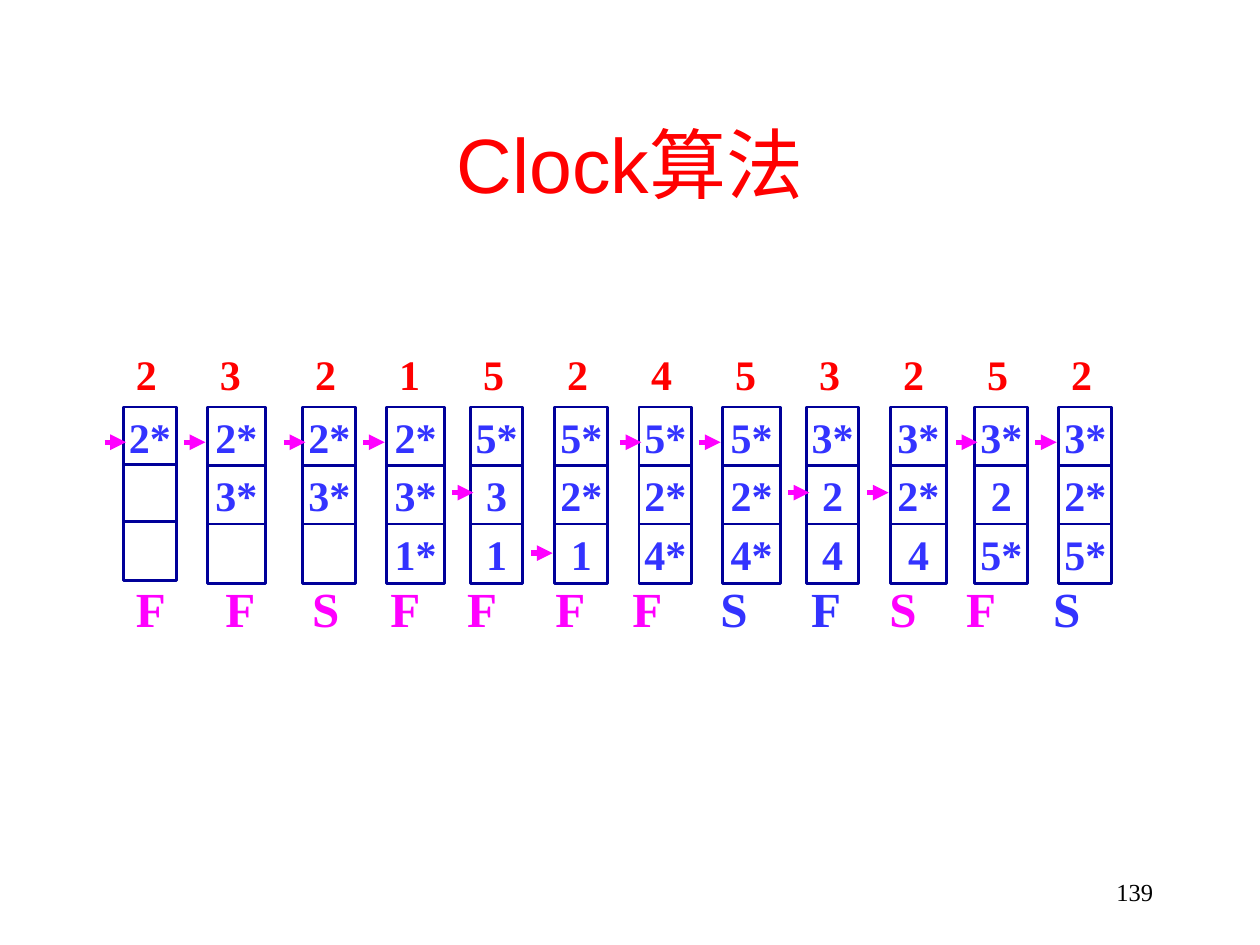
import pptx
import pptx.util
import pptx.dml.color
import pptx.enum.shapes
import pptx.enum.text
import pptx.oxml.ns
import lxml.etree

COLORS = {"white": "FFFFFF", "red": "FF0000", "pink": "FF00FF",
          "blue": "3333FF", "navy": "000099", "black": "000000"}
SERIF = "Times New Roman"
LEFT, TOP, PITCH, ROW, EXTRA_GAP = 0.98, 3.23, 2 / 3, 0.465, 0.09
FIRST_ROW = 0.455
ARROW_LENGTH, ARROW_OFFSET, ARROW_PAIR = 0.17, 0.15, 0.63
ARROW_Y = [3.51, 3.91, 4.39]
MARK_TABS = [0.71, 1.4, 2.02, 2.63, 3.33, 3.94, 4.64, 5.36, 5.98, 6.59, 7.28]
MARKS = "FFSFFFFSFSFS"
BLUE_MARKS = {7, 8, 11}

# requested page, frames top to bottom, hand row, column width
STEPS = [
    ("2", ["2*", "", ""], 0, 0.42),
    ("3", ["2*", "3*", ""], 0, 0.46),
    ("2", ["2*", "3*", ""], 0, 0.42),
    ("1", ["2*", "3*", "1*"], 0, 0.46),
    ("5", ["5*", "3", "1"], 1, 0.41),
    ("2", ["5*", "2*", "1"], 2, 0.42),
    ("4", ["5*", "2*", "4*"], 0, 0.42),
    ("5", ["5*", "2*", "4*"], 0, 0.46),
    ("3", ["3*", "2", "4"], 1, 0.41),
    ("2", ["3*", "2*", "4"], 1, 0.44),
    ("5", ["3*", "2", "5*"], 0, 0.42),
    ("2", ["3*", "2*", "5*"], 0, 0.42),
]


def inches(*values):
    return [pptx.util.Inches(v) for v in values]


def rgb(name):
    return pptx.dml.color.RGBColor.from_string(COLORS[name])


def column_left(i):
    return LEFT + i * PITCH + (EXTRA_GAP if i >= 2 else 0)


def add_text(p, text, size=24, font=SERIF, color="blue", bold=False):
    r = p.add_run()
    r.text = text
    r.font.size, r.font.name, r.font.bold = pptx.util.Pt(size), font, bold
    r.font.color.rgb = rgb(color)


def set_frame(sp, align, wrap=True):
    tf = sp.text_frame
    tf.word_wrap = wrap
    tf.vertical_anchor = pptx.enum.text.MSO_ANCHOR.MIDDLE
    p = tf.paragraphs[0]
    p.alignment = getattr(pptx.enum.text.PP_ALIGN, align)
    return p


def add_rect(shapes, x, y, w, h, line=None):
    sp = shapes.add_shape(pptx.enum.shapes.MSO_SHAPE.RECTANGLE, *inches(x, y, w, h))
    sp.shadow.inherit = False
    sp.fill.solid()
    sp.fill.fore_color.rgb = rgb("white")
    if line:
        sp.line.color.rgb = rgb(line)
        sp.line.width = pptx.util.Pt(1.5)
    else:
        sp.line.fill.background()
    return sp


def add_label_row(s, y, width, tabs, labels, size):
    p = set_frame(add_rect(s.shapes, LEFT, y, width, 0.47), "LEFT")
    qn = pptx.oxml.ns.qn
    tab_list = lxml.etree.SubElement(p._p.get_or_add_pPr(), qn("a:tabLst"))
    for tab in tabs:
        lxml.etree.SubElement(tab_list, qn("a:tab"),
                              pos=str(pptx.util.Inches(tab)), algn="l")
    for i, (label, color) in enumerate(labels):
        add_text(p, ("\t" if i else "") + label, size=size, color=color, bold=True)


def add_frames(s, i, frames, width):
    group = s.shapes.add_group_shape()
    step = ROW if i else FIRST_ROW
    for row, page in enumerate(frames):
        sp = add_rect(group.shapes, column_left(i), TOP + row * step, width, 0.47, "navy")
        p = set_frame(sp, "CENTER", wrap=False)
        if page:
            add_text(p, page, bold=True)


def add_hand(s, i, row):
    x = column_left(i - i % 2) - ARROW_OFFSET + i % 2 * ARROW_PAIR
    y = ARROW_Y[row]
    c = s.shapes.add_connector(pptx.enum.shapes.MSO_CONNECTOR.STRAIGHT,
                               *inches(x, y, x + ARROW_LENGTH, y))
    c.line.color.rgb = rgb("pink")
    c.line.width = pptx.util.Pt(3)
    qn = pptx.oxml.ns.qn
    lxml.etree.SubElement(c.line._get_or_add_ln(), qn("a:tailEnd"), type="triangle")
    lxml.etree.SubElement(c._element.spPr, qn("a:effectLst"))


def main():
    """Build the Clock page replacement slide."""
    prs = pptx.Presentation()
    prs.slide_width, prs.slide_height = inches(10, 7.5)
    s = prs.slides.add_slide(prs.slide_layouts[5])

    title = s.shapes.title
    title.left, title.top, title.width, title.height = inches(0.75, 0.67, 8.5, 1.25)
    add_text(set_frame(title, "CENTER"), "Clock算法", size=44, font="Arial", color="red")

    number = s.shapes.add_textbox(*inches(7.17, 6.83, 2.08, 0.5))
    add_text(set_frame(number, "RIGHT"), "139", size=14, color="black")

    page_tabs = [column_left(i) - LEFT for i in range(1, len(STEPS))]
    add_label_row(s, 2.73, 8.08, page_tabs, [(step[0], "red") for step in STEPS], 24)
    marks = [(m, "blue" if i in BLUE_MARKS else "pink") for i, m in enumerate(MARKS)]
    add_label_row(s, 4.59, 8, MARK_TABS, marks, 28)

    for i, (_, frames, _, width) in enumerate(STEPS):
        add_frames(s, i, frames, width)
    for i, (_, _, row, _) in enumerate(STEPS):
        add_hand(s, i, row)
    prs.save("out.pptx")


if __name__ == "__main__":
    main()
